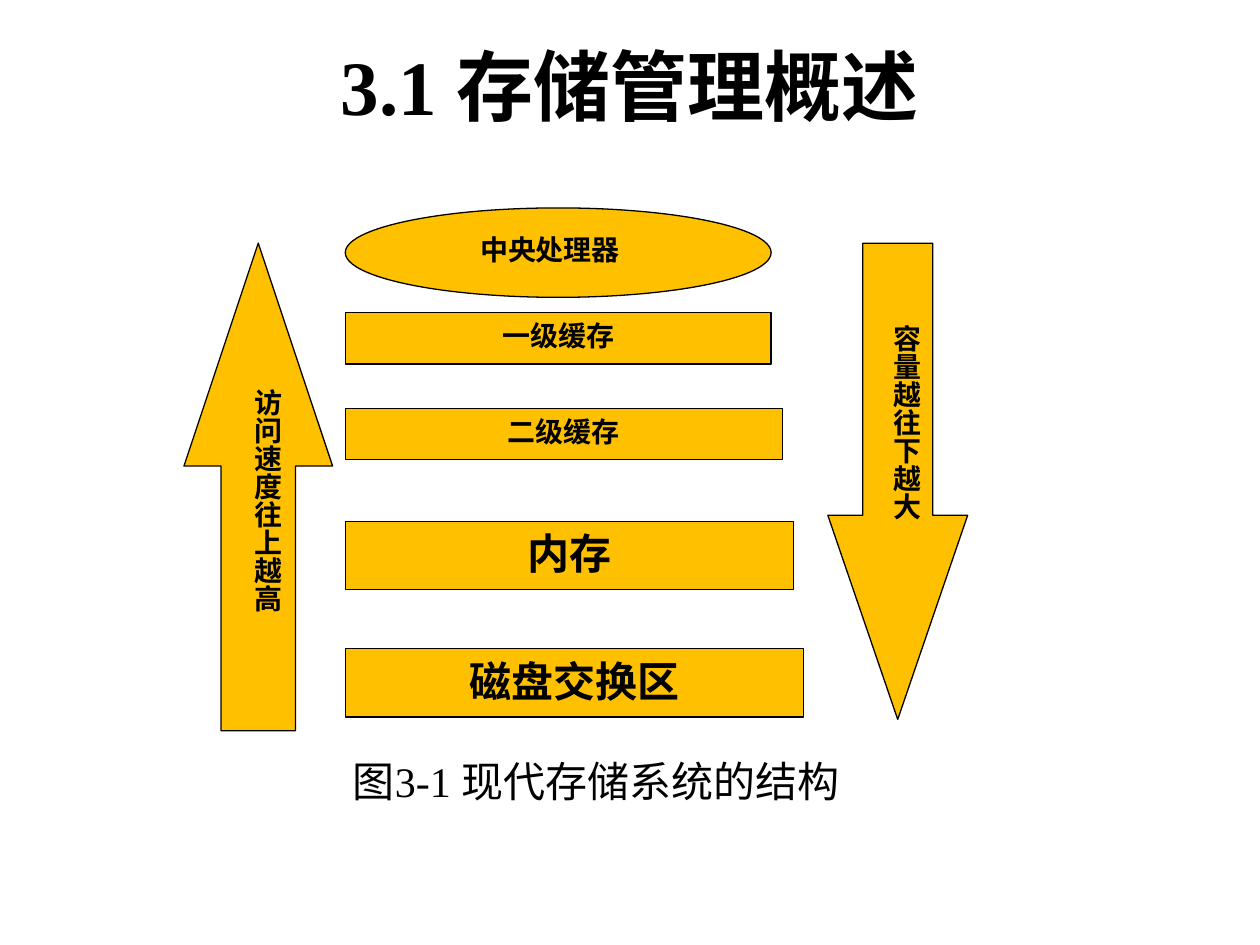
from pptx import Presentation
from pptx.dml.color import RGBColor
from pptx.enum import shapes, text
from pptx.oxml import ns
from pptx.util import Inches, Pt

COLORS = {"amber": "FFC000", "ink": "000000"}
CJK, LATIN = "Noto Sans CJK SC", "Times New Roman"
KIND = shapes.MSO_SHAPE


def write(s, words, size, font=CJK, bold=True, anchor=text.MSO_ANCHOR.TOP,
          align=text.PP_ALIGN.CENTER):
    """Put one styled run into a shape."""
    tf = s.text_frame
    tf.word_wrap = True
    tf.vertical_anchor = anchor
    p = tf.paragraphs[0]
    p.alignment = align
    r = p.add_run()
    r.text = words
    r.font.size, r.font.bold, r.font.name = Pt(size), bold, font
    r.font.color.rgb = RGBColor.from_string(COLORS["ink"])
    ea = r._r.get_or_add_rPr().makeelement(ns.qn("a:ea"), {"typeface": CJK})
    r.font._element.find(ns.qn("a:latin")).addnext(ea)


def add_block(slide, kind, x, y, w, h, outlined=True):
    """Add an amber shape, with a thin outline if wanted."""
    s = slide.shapes.add_shape(kind, Inches(x), Inches(y), Inches(w), Inches(h))
    s.shadow.inherit = False
    s.fill.solid()
    s.fill.fore_color.rgb = RGBColor.from_string(COLORS["amber"])
    if outlined:
        s.line.color.rgb = RGBColor.from_string(COLORS["ink"])
        s.line.width = Pt(0.75)
    else:
        s.line.fill.background()
    return s


def add_text(slide, words, size, x, y, w, h, **style):
    """Add a text box in the Latin font."""
    s = slide.shapes.add_textbox(Inches(x), Inches(y), Inches(w), Inches(h))
    write(s, words, size, font=LATIN, **style)


def add_levels(slide, x, y):
    """Stack the processor and the memory levels from the top left corner."""
    add_block(slide, KIND.OVAL, x, y, 3.38, 0.71)
    label = add_block(slide, KIND.RECTANGLE, x + 0.37, y + 0.15, 2.51, 0.41, False)
    write(label, "中央处理器", 16)
    levels = [("一级缓存", 16, 0.83, 3.38, 0.41), ("二级缓存", 16, 1.59, 3.47, 0.41),
              ("内存", 24, 2.49, 3.56, 0.54), ("磁盘交换区", 24, 3.5, 3.64, 0.54)]
    for words, size, dy, w, h in levels:
        write(add_block(slide, KIND.RECTANGLE, x, y + dy, w, h), words, size)


def add_trend(slide, kind, head, words, x, y, w, h, label_y, label_h):
    """Draw a trend arrow with a vertical label centred across it."""
    arrow = add_block(slide, kind, x, y, w, h)
    arrow.adjustments[0], arrow.adjustments[1] = 0.5, head
    label_w = 0.51
    label = add_block(slide, KIND.RECTANGLE, x + (w - label_w) / 2, label_y,
                      label_w, label_h, False)
    write(label, words, 16, align=text.PP_ALIGN.LEFT)
    label.text_frame._txBody.bodyPr.set("vert", "eaVert")


def main():
    """Build and save the slide."""
    prs = Presentation()
    prs.slide_width, prs.slide_height = Inches(10), Inches(7.5)
    slide = prs.slides.add_slide(prs.slide_layouts[6])
    add_levels(slide, 2.74, 1.65)
    add_trend(slide, KIND.UP_ARROW, 1.5, "访问速度往上越高",
              1.46, 1.93, 1.18, 3.87, 2.99, 2.53)
    add_trend(slide, KIND.DOWN_ARROW, 1.46, "容量越往下越大",
              6.57, 1.93, 1.11, 3.78, 2.48, 2.21)
    add_text(slide, "图3-1 现代存储系统的结构", 24, 2.27, 5.95, 4.92, 0.54, bold=False)
    add_text(slide, "3.1 存储管理概述", 44, 0.75, 0.05, 8.5, 1.25,
             anchor=text.MSO_ANCHOR.MIDDLE)
    prs.save("out.pptx")


if __name__ == "__main__":
    main()
